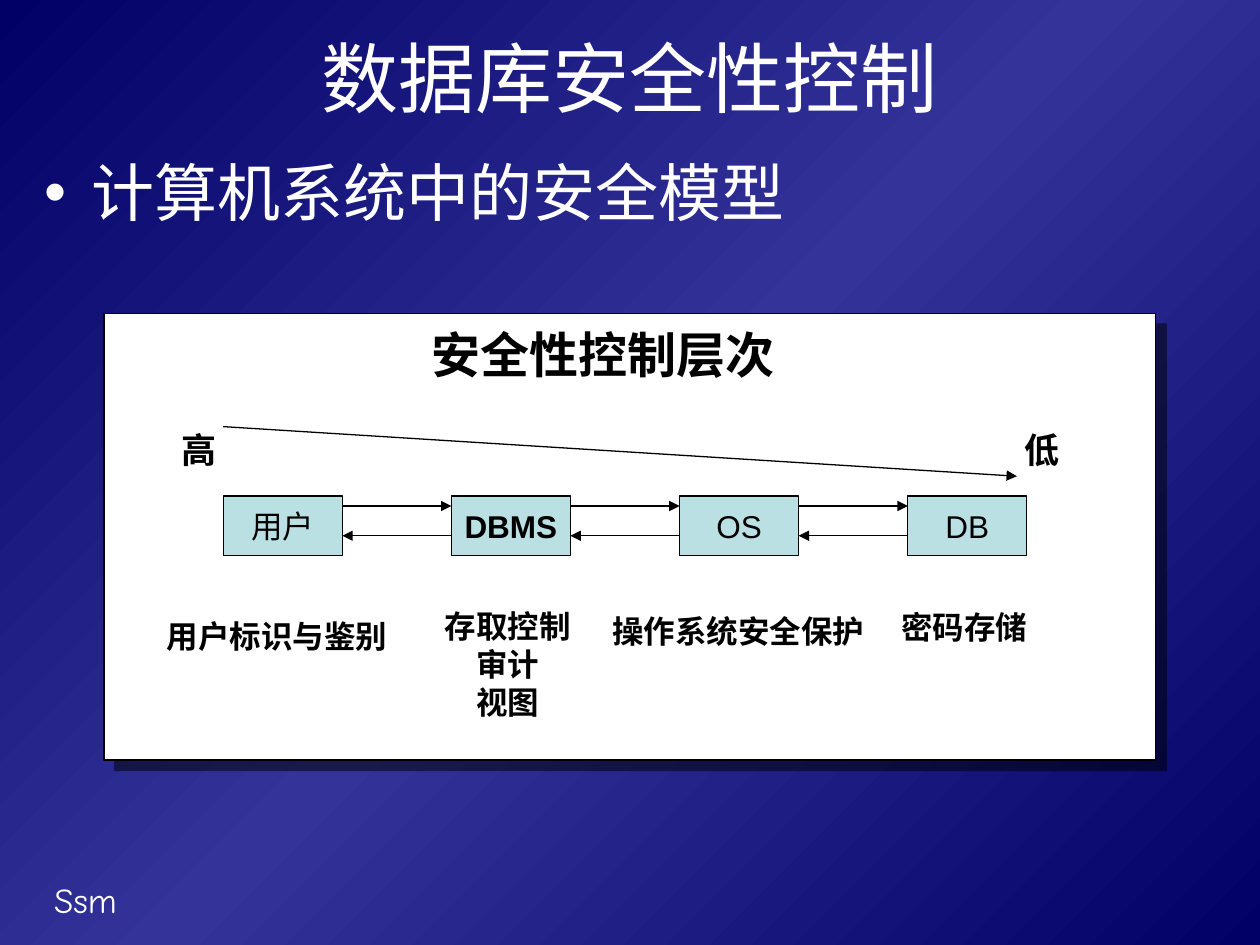
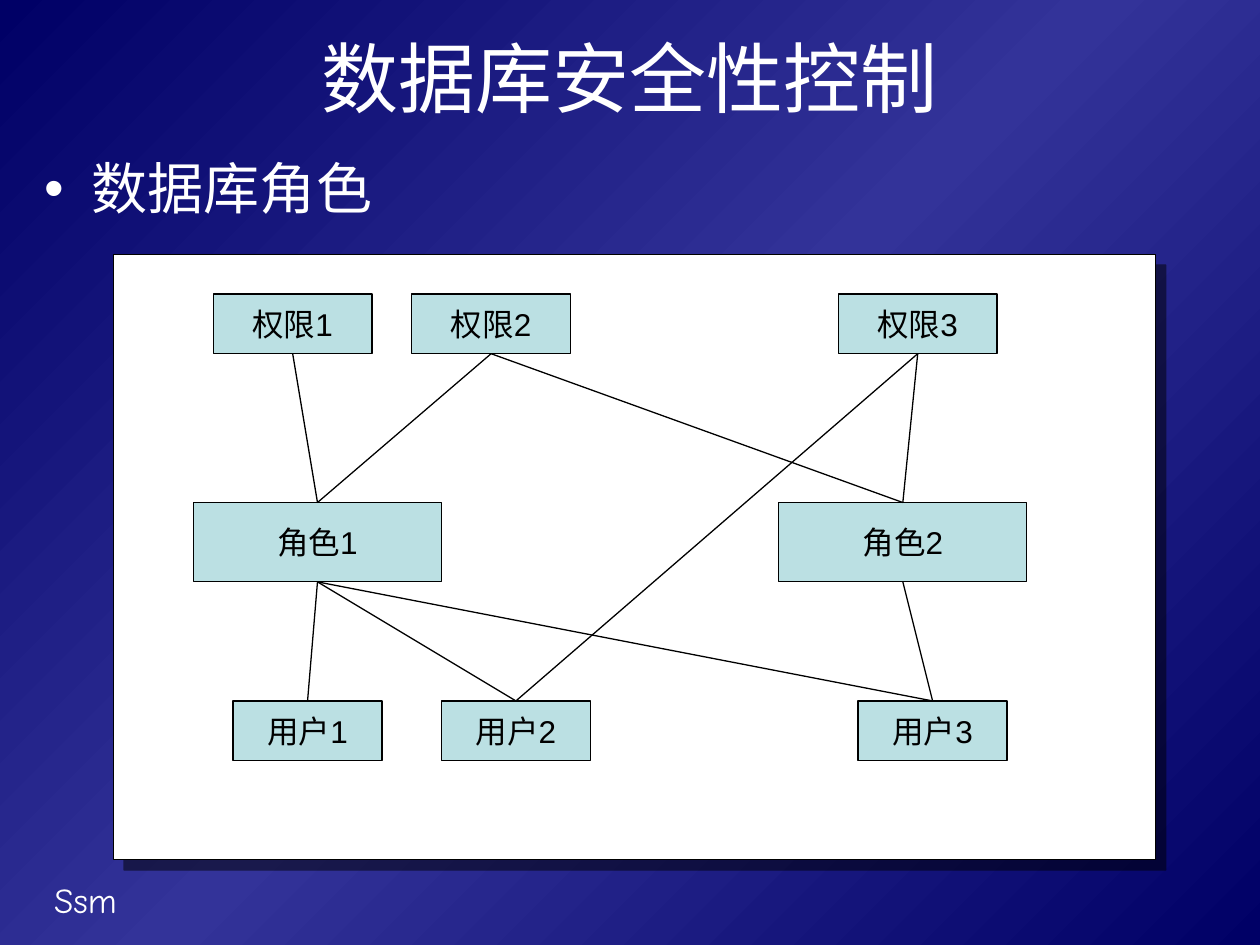
from copy import deepcopy

from lxml import etree
from pptx import Presentation
from pptx.dml.color import RGBColor
from pptx.enum.shapes import MSO_CONNECTOR, MSO_SHAPE
from pptx.enum.text import MSO_ANCHOR, MSO_AUTO_SIZE, PP_ALIGN
from pptx.oxml import parse_xml
from pptx.oxml.ns import nsdecls, qn
from pptx.util import Inches, Mm, Pt

STRAIGHT = MSO_CONNECTOR.STRAIGHT
RECTANGLE = MSO_SHAPE.RECTANGLE
TOP, MIDDLE = MSO_ANCHOR.TOP, MSO_ANCHOR.MIDDLE
LEFT, CENTER = PP_ALIGN.LEFT, PP_ALIGN.CENTER
TOP_SITE, BOTTOM_SITE = 0, 2

COLORS = {
    "edge": "000066",
    "glow": "333399",
    "light": "FFFFFF",
    "ink": "000000",
    "box": "BBE0E3",
}
CELL = Mm(2)  # side of one grid cell; every position below counts cells
TITLE = "数据库安全性控制"
BOX_HEIGHT = 6


def color(name):
    return RGBColor.from_string(COLORS[name])


def cells(*counts):
    return [round(count * CELL) for count in counts]


def write(shape, text, size=18, font="Arial", ink="ink", bold=False, align=LEFT,
          anchor=TOP, wrap=True, bullet=False, inset_left=0.1, inset_top=0.05):
    """Fill a shape with one paragraph per line of text."""
    frame = shape.text_frame
    frame.auto_size = MSO_AUTO_SIZE.NONE
    frame.word_wrap = wrap
    frame.vertical_anchor = anchor
    frame.margin_left, frame.margin_top = Inches(inset_left), Inches(inset_top)
    frame.text = text
    for paragraph in frame.paragraphs:
        paragraph.alignment = align
        if bullet:
            add_bullet(paragraph, ink)
        paragraph.font.size = Pt(size)
        paragraph.font.name = font
        paragraph.font.bold = bold
        paragraph.font.color.rgb = color(ink)


def add_bullet(paragraph, ink):
    properties = paragraph._p.get_or_add_pPr()
    hanging = Inches(0.38)
    properties.set("marL", str(hanging))
    properties.set("indent", str(-hanging))
    bullet_color = etree.SubElement(properties, qn("a:buClr"))
    etree.SubElement(bullet_color, qn("a:srgbClr"), val=COLORS[ink])
    etree.SubElement(properties, qn("a:buFont"), typeface="Arial")
    etree.SubElement(properties, qn("a:buChar"), char="•")


def add_text(slide, text, left, top, width, height, **style):
    textbox = slide.shapes.add_textbox(*cells(left, top, width, height))
    write(textbox, text, **style)


def add_rectangle(slide, left, top, width, height, fill):
    shape = slide.shapes.add_shape(RECTANGLE, *cells(left, top, width, height))
    shape.shadow.inherit = False
    shape.fill.solid()
    shape.fill.fore_color.rgb = color(fill)
    shape.line.color.rgb = color("ink")
    shape.line.width = Pt(0.75)
    return shape


def add_panel(slide, left, top, width, height):
    """Draw the white diagram panel with its hard offset shadow."""
    panel = add_rectangle(slide, left, top, width, height, "light")
    effects = panel._element.spPr.find(qn("a:effectLst"))
    effects.append(parse_xml(
        f'<a:outerShdw {nsdecls("a")} blurRad="0" dist="{Pt(8.5)}" dir="2700000" '
        f'algn="ctr" rotWithShape="0"><a:srgbClr val="{COLORS["ink"]}">'
        '<a:alpha val="50000"/></a:srgbClr></a:outerShdw>'))


def add_box(slide, text, left, top, width, height=BOX_HEIGHT, bold=False):
    box = add_rectangle(slide, left, top, width, height, "box")
    write(box, text, bold=bold, align=CENTER, anchor=MIDDLE, wrap=False)
    return box


def add_line(slide, start=(0, 0), end=(0, 0), arrow=False):
    line = slide.shapes.add_connector(STRAIGHT, *cells(*start, *end))
    line.line.color.rgb = color("ink")
    line.line.width = Pt(0.75)
    if arrow:
        etree.SubElement(line.line._get_or_add_ln(), qn("a:tailEnd"), type="triangle")
    etree.SubElement(line._element.spPr, qn("a:effectLst"))
    return line


def link(slide, upper, lower):
    line = add_line(slide)
    line.begin_connect(upper, BOTTOM_SITE)
    line.end_connect(lower, TOP_SITE)


def paint_background(master):
    fill = master.background.fill
    fill.gradient()
    fill.gradient_angle = 135
    first_stop = fill.gradient_stops[0]._gs
    first_stop.addnext(deepcopy(first_stop))
    for stop, position, name in zip(fill.gradient_stops, (0, 0.5, 1),
                                    ("edge", "glow", "edge")):
        stop.position = position
        stop.color.rgb = color(name)


def add_base_slide(presentation, topic, topic_size):
    """Add a slide with the shared title, footer and one bulleted topic."""
    slide = presentation.slides.add_slide(presentation.slide_layouts[5])
    title = slide.shapes.title
    title.left, title.top, title.width, title.height = cells(6.35, 2.2, 114.3, 11)
    write(title, TITLE, size=44, ink="light", align=CENTER, anchor=MIDDLE)
    add_text(slide, "Ssm", 4.2, 87.9, 26.4, 5.6, size=20, font="Comic Neue",
             ink="light")
    add_text(slide, topic, 3.2, 14.9, 121.7, 10, size=topic_size, ink="light",
             bullet=True)
    return slide


def build_security_model(presentation):
    slide = add_base_slide(presentation, "计算机系统中的安全模型", 36)
    panel_top = 31.6
    add_panel(slide, 10.5, panel_top, 106, 45)

    serif = {"font": "Times New Roman", "bold": True}
    add_text(slide, "安全性控制层次", 43.5, panel_top, 41, 7.4, size=28,
             inset_left=0, inset_top=0.09, **serif)
    for level, left in (("高", 16.5), ("低", 101.5)):
        add_text(slide, level, left, 42, 7, 7.4, size=20,
                 inset_left=0.14, inset_top=0.09, **serif)
    add_line(slide, (22.5, 43), (102.5, 48), arrow=True)

    first_left, step, box_width, box_top = 22.5, 23, 12, 50
    layers = ("用户", "DBMS", "OS", "DB")
    for index, layer in enumerate(layers):
        left = first_left + index * step
        add_box(slide, layer, left, box_top, box_width, bold=layer == "DBMS")
        if index:
            previous_right = left - step + box_width
            add_line(slide, (previous_right, box_top + 1), (left, box_top + 1),
                     arrow=True)
            add_line(slide, (left, box_top + 4), (previous_right, box_top + 4),
                     arrow=True)

    measures = (
        ("用户标识与鉴别", 27.9, 64.1),
        ("存取控制\n审计\n视图", 51.2, 66.9),
        ("操作系统安全保护", 74.4, 63.6),
        ("密码存储", 97.2, 63.2),
    )
    width, height = 30, 12
    for measure, center, middle in measures:
        add_text(slide, measure, center - width / 2, middle - height / 2, width,
                 height, align=CENTER, anchor=MIDDLE, wrap=False, **serif)


def build_database_roles(presentation):
    slide = add_base_slide(presentation, "数据库角色", 32)
    panel_top = 25.65
    add_panel(slide, 11.45, panel_top, 105, 61)

    # name, rows below the panel's top, width, height, left edges
    tiers = (
        ("权限", 4, 16, BOX_HEIGHT, (21.5, 41.5, 84.5)),
        ("角色", 25, 25, 8, (19.5, 78.5)),
        ("用户", 45, 15, BOX_HEIGHT, (23.5, 44.5, 86.5)),
    )
    boxes = {}
    for name, row, width, height, lefts in tiers:
        for number, left in enumerate(lefts, 1):
            label = f"{name}{number}"
            boxes[label] = add_box(slide, label, left, panel_top + row, width, height)

    grants = {
        "权限1": ("角色1",),
        "权限2": ("角色1", "角色2"),
        "权限3": ("角色2", "用户2"),
        "角色1": ("用户1", "用户2", "用户3"),
        "角色2": ("用户3",),
    }
    for giver, receivers in grants.items():
        for receiver in receivers:
            link(slide, boxes[giver], boxes[receiver])


def main():
    presentation = Presentation()
    presentation.slide_width, presentation.slide_height = Inches(10), Inches(7.5)
    paint_background(presentation.slide_master)
    build_security_model(presentation)
    build_database_roles(presentation)
    presentation.save("out.pptx")


if __name__ == "__main__":
    main()
